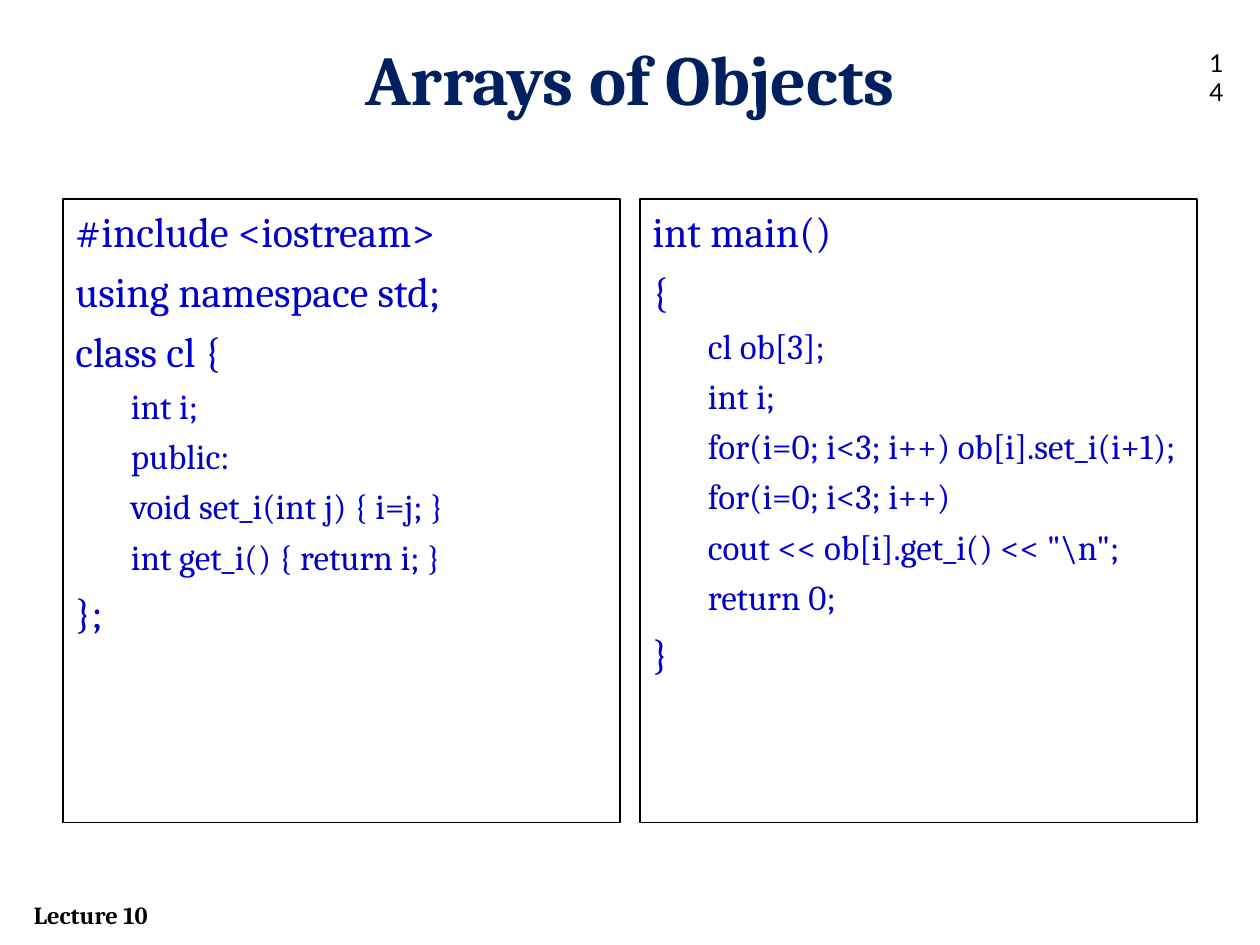
from pptx import Presentation
from pptx.dml.color import RGBColor
from pptx.enum import shapes, text
from pptx.util import Inches, Pt

# Content: labels as (words, box, size, font, colour, bold, alignment)
LEFT, MID = text.PP_ALIGN.LEFT, text.PP_ALIGN.CENTER
LABELS = [
    ("Arrays of Objects", (0.5, 0.23, 9, 0.77), 40, "Cambria", "title", True, MID),
    ("14", (9.5, 0.33, 0.42, 0.4), 14, "Lato", "ink", False, LEFT),
    ("Lecture 10", (0.17, 7.09, 2, 0.34), 14, "Cambria", "ink", True, LEFT),
]
# Code panels: lines as (level, code)
PANELS = [
    [(0, "#include <iostream>"), (0, "using namespace std;"), (0, "class cl {"),
     (1, "int i;"), (1, "public:"), (1, "void set_i(int j) { i=j; }"),
     (1, "int get_i() { return i; }"), (0, "};")],
    [(0, "int main()"), (0, "{"), (1, "cl ob[3];"), (1, "int i;"),
     (1, "for(i=0; i<3; i++) ob[i].set_i(i+1);"), (1, "for(i=0; i<3; i++)"),
     (1, 'cout << ob[i].get_i() << "\\n";'), (1, "return 0;"), (0, "}")],
]
COLORS = {"title": "002060", "ink": "000000", "code": "0000CC"}
LEVELS = [(24, 5.6, 0), (20, 4.7, 0.44)]  # size, space before, indent
EDGE, TOP, WIDE, HIGH, GAP = 0.5, 1.58, 4.42, 4.95, 0.16


def color(name):
    return RGBColor.from_string(COLORS[name])


def style(para, size, font, name, bold=False):
    for run in para.runs:
        run.font.size = Pt(size)
        run.font.name = font
        run.font.bold = bold
        run.font.color.rgb = color(name)


def add_label(slide, words, box, size, font, name, bold, align):
    frame = slide.shapes.add_textbox(*map(Inches, box)).text_frame
    frame.word_wrap = True
    frame.text = words
    para = frame.paragraphs[0]
    para.alignment = align
    style(para, size, font, name, bold)


def add_panel(slide, col, lines):
    left = EDGE + col * (WIDE + GAP)
    panel = slide.shapes.add_shape(
        shapes.MSO_SHAPE.RECTANGLE, *map(Inches, (left, TOP, WIDE, HIGH)))
    panel.shadow.inherit = False
    panel.fill.background()
    panel.line.color.rgb = color("ink")
    panel.line.width = Pt(0.75)
    frame = panel.text_frame
    frame.word_wrap = True
    frame.vertical_anchor = text.MSO_ANCHOR.TOP
    frame.text = "\n".join(code for _, code in lines)
    for row, (para, (level, _)) in enumerate(zip(frame.paragraphs, lines)):
        size, space, indent = LEVELS[level]
        para.level = level
        para.alignment = LEFT
        para.space_before = Pt(space if row else 0)
        props = para._p.get_or_add_pPr()
        props.set("marL", str(Inches(indent)))
        props.set("indent", "0")
        style(para, size, "Cambria", "code")


def main():
    deck = Presentation()
    deck.slide_width, deck.slide_height = Inches(10), Inches(7.5)
    slide = deck.slides.add_slide(deck.slide_layouts[6])
    # Title, page number and footer
    for label in LABELS:
        add_label(slide, *label)
    # Code side by side
    for col, lines in enumerate(PANELS):
        add_panel(slide, col, lines)
    deck.save("out.pptx")


if __name__ == "__main__":
    main()
